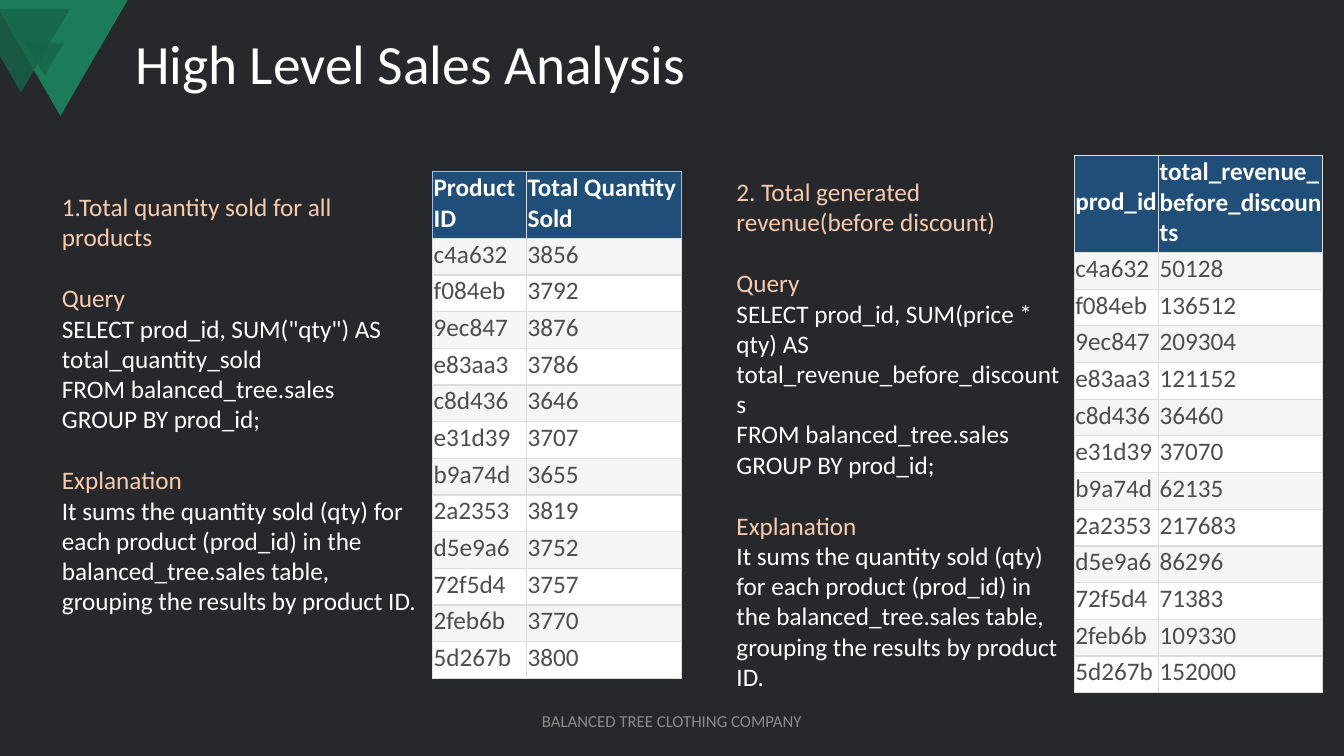
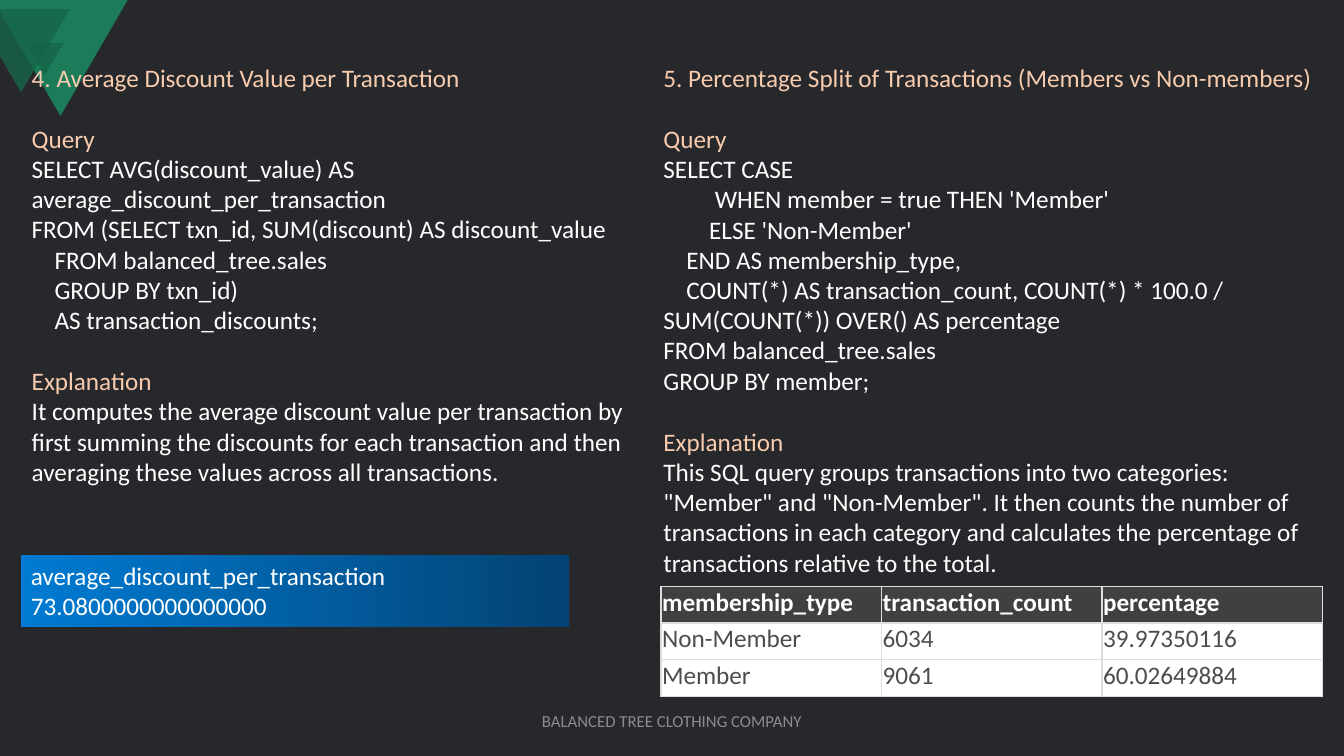
from dataclasses import dataclass

from lxml.etree import SubElement
from pptx import Presentation
from pptx.dml.color import RGBColor
from pptx.enum.shapes import MSO_SHAPE
from pptx.enum.text import MSO_ANCHOR, PP_ALIGN
from pptx.oxml.ns import qn
from pptx.util import Inches, Pt

COLS, ROWS = 160, 90  # slide grid of square cells
CELL = Inches(1) // 12
FONT = "Calibri"
BODY_SIZE = 18
LINE_GAP = 22  # one body line, in points
SPACE = 0.68  # one body space, in grid columns
ROW_HEIGHT = 4.37
FOOTER = "BALANCED TREE CLOTHING COMPANY"
COLORS = {
    "background": "27282C", "green": "1C7C5A", "dark_green": "166548",
    "white": "FFFFFF", "peach": "F8CBAD", "footer": "8C8C8C",
    "navy": "1F4E79", "charcoal": "404040", "cell_text": "4D4D4D",
    "stripe": "F5F5F5", "border": "DDDDDD", "header_edge": "9BC2E6",
    "result_start": "007BD3", "result_end": "034373",
}
PRODUCTS = ("c4a632", "f084eb", "9ec847", "e83aa3", "c8d436", "e31d39",
            "b9a74d", "2a2353", "d5e9a6", "72f5d4", "2feb6b", "5d267b")
QUANTITIES = (3856, 3792, 3876, 3786, 3646, 3707, 3655, 3819, 3752, 3757, 3770, 3800)
REVENUES = (50128, 136512, 209304, 121152, 36460, 37070,
            62135, 217683, 86296, 71383, 109330, 152000)
SUM_EXPLANATION = ("It sums the quantity sold (qty) for each product (prod_id) in the "
                   "balanced_tree.sales table, grouping the results by product ID.")


@dataclass(frozen=True)
class Box:
    """Left, top, width and height in grid cells."""
    x: float
    y: float
    w: float
    h: float

    def emu(self) -> tuple[int, ...]:
        return tuple(grid(v) for v in (self.x, self.y, self.w, self.h))


@dataclass(frozen=True)
class CodeLine:
    text: str
    spaces: int = 0


@dataclass(frozen=True)
class Question:
    box: Box
    heading: str
    query: tuple[CodeLine, ...]
    explanation: str


@dataclass(frozen=True)
class ResultTable:
    x: float
    y: float
    widths: tuple[float, ...]
    header_height: float
    rows: tuple[tuple, ...]
    header_fill: str = "navy"
    stripe: str = "stripe"
    header_edge: str = "border"


QUANTITY = Question(
    Box(6.2, 22.2, 45.4, 52.1), "1.Total quantity sold for all products",
    (CodeLine('SELECT prod_id, SUM("qty") AS total_quantity_sold'),
     CodeLine("FROM balanced_tree.sales"),
     CodeLine("GROUP BY prod_id;")),
    SUM_EXPLANATION)
REVENUE = Question(
    Box(86.5, 20.4, 41.3, 63), "2. Total generated revenue(before discount)",
    (CodeLine("SELECT prod_id, SUM(price * qty) AS total_revenue_before_discounts"),
     CodeLine("FROM balanced_tree.sales"),
     CodeLine("GROUP BY prod_id;")),
    SUM_EXPLANATION)
DISCOUNT = Question(
    Box(2.6, 6.8, 75.1, 52.1), "4. Average Discount Value per Transaction",
    (CodeLine("SELECT AVG(discount_value) AS average_discount_per_transaction"),
     CodeLine("FROM (SELECT txn_id, SUM(discount) AS discount_value"),
     CodeLine("FROM balanced_tree.sales", 4),
     CodeLine("GROUP BY txn_id)", 4),
     CodeLine("AS transaction_discounts;", 4)),
    "It computes the average discount value per transaction by first summing the "
    "discounts for each transaction and then averaging these values across all "
    "transactions.")
MEMBERS = Question(
    Box(77.8, 6.8, 79.6, 63),
    "5. Percentage Split of Transactions (Members vs Non-members)",
    (CodeLine("SELECT CASE"),
     CodeLine("WHEN member = true THEN 'Member'", 9),
     CodeLine("ELSE 'Non-Member'", 8),
     CodeLine("END AS membership_type,", 4),
     CodeLine("COUNT(*) AS transaction_count, COUNT(*) * 100.0 / "
              "SUM(COUNT(*)) OVER() AS percentage", 4),
     CodeLine("FROM balanced_tree.sales"),
     CodeLine("GROUP BY member;")),
    'This SQL query groups transactions into two categories: "Member" and '
    '"Non-Member". It then counts the number of transactions in each category and '
    "calculates the percentage of transactions relative to the total.")

QUANTITY_TABLE = ResultTable(
    51.5, 20.4, (11.2, 18.4), 7.97,
    (("Product ID", "Total Quantity Sold"), *zip(PRODUCTS, QUANTITIES)),
    header_edge="header_edge")
REVENUE_TABLE = ResultTable(
    127.9, 18.5, (10.05, 19.5), 11.57,
    (("prod_id", "total_revenue_before_discounts"), *zip(PRODUCTS, REVENUES)))
MEMBER_TABLE = ResultTable(
    78.7, 69.8, (26.25,) * 3, ROW_HEIGHT,
    (("membership_type", "transaction_count", "percentage"),
     ("Non-Member", 6034, "39.97350116"),
     ("Member", 9061, "60.02649884")),
    header_fill="charcoal", stripe="white")


def grid(cells: float) -> int:
    return round(cells * CELL)


def rgb(name: str) -> RGBColor:
    return RGBColor.from_string(COLORS[name])


def add_text(tf, text: str, *, color: str = "white", size: float = BODY_SIZE,
             bold: bool = False, before: float = 0, indent: float = 0,
             align=PP_ALIGN.LEFT, spacing: float = 1.0) -> None:
    """Write one paragraph, filling the frame's empty first one if there is one."""
    first = tf.paragraphs[0]
    p = tf.add_paragraph() if first.runs else first
    p.alignment, p.line_spacing, p.space_before = align, spacing, Pt(before)
    if indent:
        p._p.get_or_add_pPr().set("indent", str(grid(indent)))
    r = p.add_run()
    r.text = text
    r.font.name, r.font.size, r.font.bold = FONT, Pt(size), bold
    r.font.color.rgb = rgb(color)


def add_box(slide, box: Box, anchor=MSO_ANCHOR.TOP):
    tf = slide.shapes.add_textbox(*box.emu()).text_frame
    tf.word_wrap, tf.vertical_anchor = True, anchor
    return tf


def paint(sp, color: str, alpha: int = 100) -> None:
    """Give a shape a plain fill of the given opacity in percent."""
    sp.shadow.inherit = False
    sp.line.fill.background()
    sp.fill.solid()
    sp.fill.fore_color.rgb = rgb(color)
    if alpha < 100:
        srgb = sp._element.spPr.find(qn("a:solidFill"))[0]
        SubElement(srgb, qn("a:alpha"), val=str(alpha * 1000))


def add_polygon(slide, points: tuple[tuple[float, float], ...], color: str,
                alpha: int = 100) -> None:
    start, *rest = [(grid(x), grid(y)) for x, y in points]
    builder = slide.shapes.build_freeform(*start)
    builder.add_line_segments(rest, close=True)
    paint(builder.convert_to_shape(), color, alpha)


def add_slide(prs):
    """Start a slide with the background, corner triangles and footer."""
    slide = prs.slides.add_slide(prs.slide_layouts[6])
    slide.background.fill.solid()
    slide.background.fill.fore_color.rgb = rgb("background")
    add_polygon(slide, ((0, 0), (15.2, 0), (7.2, 13.8), (0, 1.4)), "green")
    sp = slide.shapes.add_shape(MSO_SHAPE.ISOSCELES_TRIANGLE,
                                *Box(3, 5.1, 4.6, 3.9).emu())
    sp.rotation = 180
    paint(sp, "dark_green", 80)
    add_polygon(slide, ((0, 1.1), (8.3, 1.1), (2.5, 11), (0, 6.7)), "dark_green", 80)
    tf = add_box(slide, Box(53, 83.4, 54, 4.8), MSO_ANCHOR.MIDDLE)
    add_text(tf, FOOTER, color="footer", size=12, align=PP_ALIGN.CENTER)
    return slide


def add_question(slide, question: Question) -> None:
    tf = add_box(slide, question.box)
    add_text(tf, question.heading, color="peach")
    add_text(tf, "Query", color="peach", before=LINE_GAP)
    for line in question.query:
        add_text(tf, line.text, indent=line.spaces * SPACE)
    add_text(tf, "Explanation", color="peach", before=LINE_GAP)
    add_text(tf, question.explanation)


def add_border(cell, side: str, color: str, width: float) -> None:
    ln = SubElement(cell._tc.get_or_add_tcPr(), qn(f"a:ln{side}"), w=str(Pt(width)))
    fill = SubElement(ln, qn("a:solidFill"))
    SubElement(fill, qn("a:srgbClr"), val=COLORS[color])


def add_result_table(slide, table: ResultTable) -> None:
    heights = [table.header_height] + [ROW_HEIGHT] * (len(table.rows) - 1)
    box = Box(table.x, table.y, sum(table.widths), sum(heights))
    tbl = slide.shapes.add_table(len(heights), len(table.widths), *box.emu()).table
    for column, width in zip(tbl.columns, table.widths):
        column.width = grid(width)
    for i, (row, height) in enumerate(zip(table.rows, heights)):
        tbl.rows[i].height = grid(height)
        header = i == 0
        fill = table.header_fill if header else (table.stripe if i % 2 else "white")
        for j, value in enumerate(row):
            cell = tbl.cell(i, j)
            cell.vertical_anchor = MSO_ANCHOR.MIDDLE
            cell.margin_left = cell.margin_right = cell.margin_top = Inches(0.01)
            cell.margin_bottom = Inches(0.05)
            outer = {"L": j == 0, "R": j == len(row) - 1, "T": True, "B": False}
            for side, is_outer in outer.items():
                edge = table.header_edge if header and is_outer else "border"
                add_border(cell, side, edge, 1 if edge == "border" else 0.5)
            cell.fill.solid()
            cell.fill.fore_color.rgb = rgb(fill)
            add_text(cell.text_frame, str(value), bold=header,
                     color="white" if header else "cell_text")


def add_result_box(slide, box: Box, lines: tuple[str, ...]) -> None:
    sp = slide.shapes.add_shape(MSO_SHAPE.RECTANGLE, *box.emu())
    sp.shadow.inherit = False
    sp.line.fill.background()
    sp.fill.gradient()
    sp.fill.gradient_angle = 0
    for stop, position, color in zip(sp.fill.gradient_stops, (0, 1),
                                     ("result_start", "result_end")):
        stop.position, stop.color.rgb = position, rgb(color)
    tf = sp.text_frame
    tf.word_wrap, tf.vertical_anchor = True, MSO_ANCHOR.TOP
    for line in lines:
        add_text(tf, line)


def main() -> None:
    prs = Presentation()
    prs.slide_width, prs.slide_height = COLS * CELL, ROWS * CELL

    slide = add_slide(prs)
    tf = add_box(slide, Box(14.9, 4.4, 84.7, 7), MSO_ANCHOR.MIDDLE)
    add_text(tf, "High Level Sales Analysis", size=39.6, spacing=0.9)
    add_question(slide, QUANTITY)
    add_result_table(slide, QUANTITY_TABLE)
    add_question(slide, REVENUE)
    add_result_table(slide, REVENUE_TABLE)

    slide = add_slide(prs)
    add_question(slide, DISCOUNT)
    add_result_box(slide, Box(2.5, 66.1, 65.3, 8.5),
                   ("average_discount_per_transaction", "73.0800000000000000"))
    add_question(slide, MEMBERS)
    add_result_table(slide, MEMBER_TABLE)

    prs.save("out.pptx")


if __name__ == "__main__":
    main()
